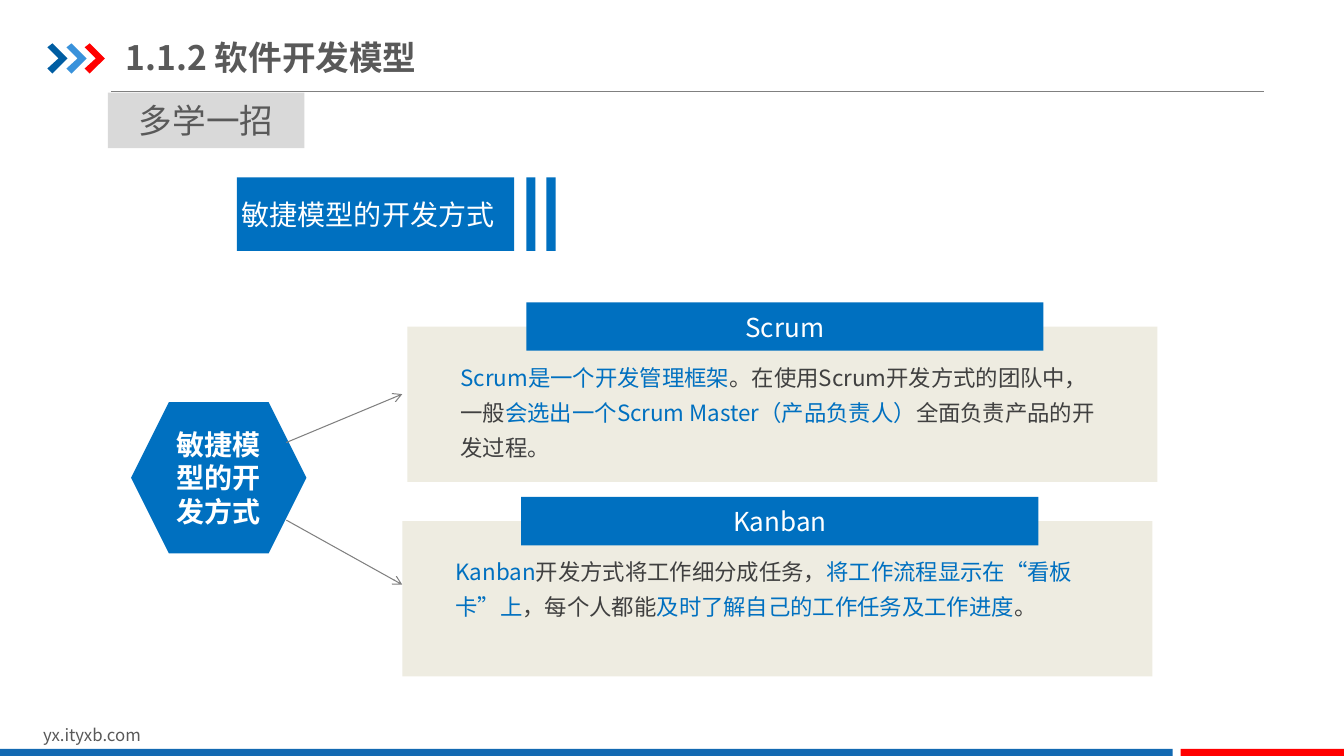
from dataclasses import dataclass

from lxml import etree
from pptx import Presentation
from pptx.dml.color import RGBColor
from pptx.enum.shapes import MSO_CONNECTOR, MSO_SHAPE
from pptx.enum.text import MSO_ANCHOR, PP_ALIGN
from pptx.oxml.ns import qn
from pptx.util import Pt

PX = 9144  # 100 px to the inch
FONT = "Noto Sans CJK SC"
BLUE, GREY, DARK, WHITE, RED = "0070C0", "595959", "404040", "FFFFFF", "FF0000"
SILVER, BEIGE, LINE = "D9D9D9", "EEECE1", "808080"
RECT, HEXAGON = MSO_SHAPE.RECTANGLE, MSO_SHAPE.HEXAGON
STRAIGHT = MSO_CONNECTOR.STRAIGHT
LEFT, CENTER, JUSTIFY = PP_ALIGN.LEFT, PP_ALIGN.CENTER, PP_ALIGN.JUSTIFY
TOP, MIDDLE = MSO_ANCHOR.TOP, MSO_ANCHOR.MIDDLE

Box = tuple[int, int, int, int]
Runs = list[tuple[str, str]]


@dataclass
class Style:
    size: float
    bold: bool = False
    align: PP_ALIGN = LEFT
    anchor: MSO_ANCHOR = TOP
    leading: float = 1.0


@dataclass
class Card:
    x: int
    y: int
    title: str
    lines: int
    runs: Runs


CARDS = [
    Card(404, 324, "Scrum", 3, [
        ("Scrum是一个开发管理框架", BLUE),
        ("。在使用Scrum开发方式的团队中，一般", DARK),
        ("会选出一个Scrum Master（产品负责人）", BLUE),
        ("全面负责产品的开发过程。", DARK),
    ]),
    Card(399, 517, "Kanban", 2, [
        ("Kanban", BLUE),
        ("开发方式将工作细分成任务，", DARK),
        ("将工作流程显示在“看板卡”上", BLUE),
        ("，每个人都能", DARK),
        ("及时了解自己的工作任务及工作进度", BLUE),
        ("。", DARK),
    ]),
]
CHEVRONS = [(47, "005DA2"), (66, "3992DB"), (84, RED)]
OUTLINE = [(0, 4), (5, 0), (20, 15), (5, 30), (0, 25), (11, 15)]
ARROWS = [(284, 439, 399, 391), (284, 516, 399, 580)]
BODY = Style(16, leading=1.3)
HEAD = Style(18.6, align=CENTER, anchor=MIDDLE)

deck = Presentation()
deck.slide_width, deck.slide_height = 1333 * PX, 750 * PX
shapes = deck.slides.add_slide(deck.slide_layouts[6]).shapes


def rgb(color: str) -> RGBColor:
    return RGBColor.from_string(color)


def scale(box: Box) -> list[int]:
    return [v * PX for v in box]


def paint(shape, color: str) -> None:
    """Give a shape a flat fill with no line or shadow."""
    shape.shadow.inherit = False
    shape.fill.solid()
    shape.fill.fore_color.rgb = rgb(color)
    shape.line.fill.background()


def write(frame, runs: Runs, style: Style) -> None:
    frame.word_wrap = True
    frame.vertical_anchor = style.anchor
    para = frame.paragraphs[0]
    para.alignment = style.align
    para.line_spacing = style.leading
    font = para.font
    font.name, font.size, font.bold = FONT, Pt(style.size), style.bold
    base = para._p.pPr.find(qn("a:defRPr"))
    etree.SubElement(base, qn("a:ea"), typeface=FONT)
    for text, color in runs:
        run = para.add_run()
        run.text = text
        run.font.color.rgb = rgb(color)


def block(box: Box, color: str, kind: MSO_SHAPE = RECT):
    shape = shapes.add_shape(kind, *scale(box))
    paint(shape, color)
    return shape


def label(box: Box, runs: Runs, style: Style):
    """Add a text box and return its frame."""
    frame = shapes.add_textbox(*scale(box)).text_frame
    write(frame, runs, style)
    return frame


def link(ends: Box, arrow: bool = False) -> None:
    line = shapes.add_connector(STRAIGHT, *scale(ends))
    line.line.color.rgb = rgb(LINE)
    line.line.width = Pt(0.75)
    if arrow:
        etree.SubElement(line.line._get_or_add_ln(), qn("a:tailEnd"), type="arrow")
    etree.SubElement(line._element.spPr, qn("a:effectLst"))


def chevron(x: int, color: str) -> None:
    points = [(x + dx, 43 + dy) for dx, dy in OUTLINE]
    pen = shapes.build_freeform(*points[0], scale=PX)
    pen.add_line_segments(points[1:], close=True)
    paint(pen.convert_to_shape(), color)


def draw_card(card: Card) -> None:
    x, y = card.x, card.y
    block((x, y, 744, 154), BEIGE)
    head = block((x + 118, y - 24, 513, 48), BLUE)
    write(head.text_frame, [(card.title, WHITE)], HEAD)
    label((x + 43, y + 24, 662, 35 * card.lines + 10), card.runs, BODY)


def main() -> None:
    link((110, 91, 1254, 91))
    for x, color in CHEVRONS:
        chevron(x, color)
    label((33, 714, 318, 30), [("yx.ityxb.com", GREY)], Style(12))
    block((0, 743, 1163, 9), "1369B2")
    block((1171, 743, 163, 9), RED)

    title = label((125, 29, 426, 55), [("1.1.2 软件开发模型", GREY)],
                  Style(24, bold=True, anchor=MIDDLE))
    title.margin_left = title.margin_right = 0
    title.margin_top = title.margin_bottom = 7 * PX
    tip = block((107, 92, 195, 55), SILVER)
    write(tip.text_frame, [("多学一招", GREY)], Style(24, align=CENTER, anchor=MIDDLE))

    topic = "敏捷模型的开发方式"
    for x, width in [(235, 275), (522, 9), (542, 9)]:
        block((x, 176, width, 73), BLUE)
    label((230, 191, 280, 44), [(topic, WHITE)], Style(20, align=JUSTIFY))

    hub = block((130, 399, 174, 150), BLUE, HEXAGON)
    write(hub.text_frame, [(topic, WHITE)],
          Style(20, bold=True, align=CENTER, anchor=MIDDLE))
    for ends in ARROWS:
        link(ends, arrow=True)
    for card in CARDS:
        draw_card(card)
    deck.save("out.pptx")


if __name__ == "__main__":
    main()
